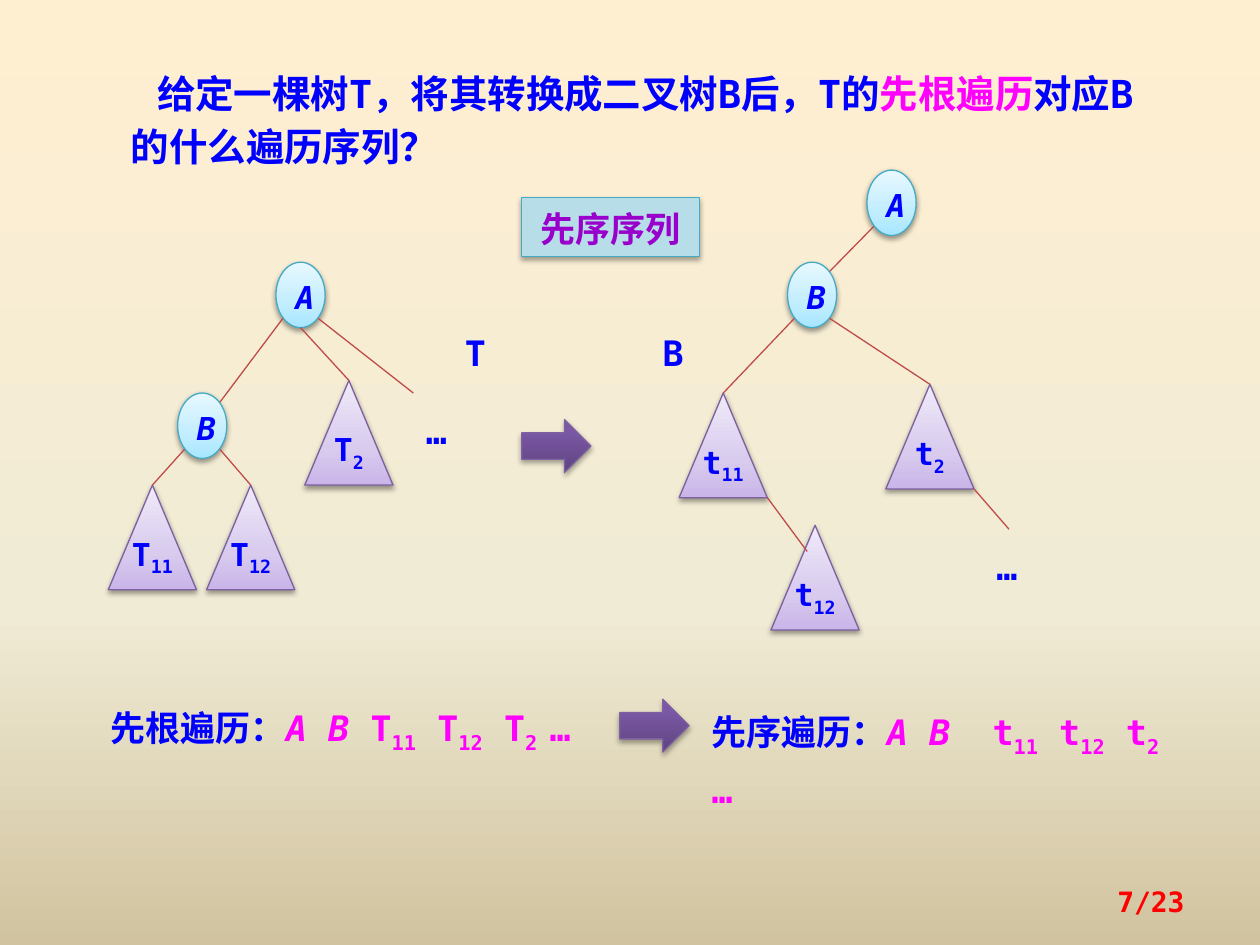
"""Build the slide on preorder traversal of a tree and of its binary tree."""
from dataclasses import dataclass

from lxml.etree import SubElement
from pptx import Presentation
from pptx.dml.color import RGBColor
from pptx.enum.shapes import MSO_CONNECTOR, MSO_SHAPE
from pptx.enum.text import MSO_ANCHOR, MSO_AUTO_SIZE, PP_ALIGN
from pptx.oxml import parse_xml
from pptx.oxml.ns import nsdecls, qn
from pptx.util import Pt

BLUE = RGBColor(0x00, 0x00, 0xFF)
MAGENTA = RGBColor(0xFF, 0x00, 0xFF)
PURPLE = RGBColor(0x99, 0x00, 0xCC)
RED = RGBColor(0xFF, 0x00, 0x00)
TEAL = RGBColor(0x46, 0xAA, 0xC5)
PALE_TEAL = RGBColor(0xB7, 0xDE, 0xE8)
VIOLET = RGBColor(0x7D, 0x60, 0xA0)
BRICK = RGBColor(0xBF, 0x4C, 0x48)

SAND_STOPS = ((0, RGBColor(0xFF, 0xEF, 0xD1)), (65, RGBColor(0xF0, 0xEB, 0xD5)), (100, RGBColor(0xD1, 0xC3, 0x9F)))
SKY_STOPS = ((0, RGBColor(0xA7, 0xE6, 0xFF)), (35, RGBColor(0xC1, 0xED, 0xFF)), (100, RGBColor(0xE7, 0xF8, 0xFF)))
LILAC_STOPS = ((0, RGBColor(0xC9, 0xB5, 0xE8)), (35, RGBColor(0xD8, 0xCB, 0xEE)), (100, RGBColor(0xF0, 0xEA, 0xF9)))
GRAPE_STOPS = ((0, RGBColor(0x5F, 0x44, 0x80)), (80, RGBColor(0x7B, 0x58, 0xA6)), (100, RGBColor(0x7C, 0x57, 0xA8)))

FONT = "DejaVu Sans Mono"
TOP, LOW, LOW_LEFT, LOW_RIGHT = (0.5, 0), (0.5, 1), (0.14, 0.86), (0.86, 0.86)
HIGH_RIGHT, CORNER, BASE_RIGHT = (0.86, 0.14), (0, 0), (1, 1)


@dataclass(frozen=True)
class Span:
    text: str
    color: RGBColor = BLUE
    size: float = 20
    italic: bool = False
    lowered: bool = False
    tracking: int = 0


@dataclass(frozen=True)
class Look:
    preset: MSO_SHAPE
    width: float
    height: float
    stops: tuple
    outline: RGBColor
    spacing: object = None
    inset: float | None = None
    opacity: int = 38


@dataclass(frozen=True)
class Node:
    left: float
    top: float
    look: Look
    spans: tuple = ()

    def port(self, across: float, down: float) -> tuple:
        return Pt(self.left + across * self.look.width), Pt(self.top + down * self.look.height)


@dataclass(frozen=True)
class Words:
    left: float
    top: float
    width: float
    height: float
    spans: tuple
    indent: float = 0


ROOT = Look(MSO_SHAPE.OVAL, 28.1, 37.4, SKY_STOPS, TEAL, 1.1)
SUBTREE = Look(MSO_SHAPE.ISOSCELES_TRIANGLE, 50.4, 59.8, LILAC_STOPS, VIOLET, Pt(16), 0)
ARROW = Look(MSO_SHAPE.RIGHT_ARROW, 39.6, 30.2, GRAPE_STOPS, VIOLET, opacity=35)
MORE = Look(MSO_SHAPE.RECTANGLE, 39.6, 37.4, (), BLUE)


def root(name: str, left: float, top: float) -> Node:
    return Node(left, top, ROOT, (Span(name, size=18, italic=True),))


def subtree(name: str, index: str, left: float, top: float) -> Node:
    return Node(left, top, SUBTREE, (Span(name, size=18), Span(index, size=18, lowered=True)))


def sequence(title: str, letter: str, tracking: int) -> tuple:
    spans = [Span(title), Span("A B", MAGENTA, italic=True), Span(" ", MAGENTA, tracking=tracking)]
    for order, index in enumerate(("11", "12", "2 ")):
        spans += [Span(f" {letter}" if order else letter, MAGENTA), Span(index, MAGENTA, lowered=True)]
    return (*spans, Span("…", MAGENTA))


def paint_gradient(properties, stops: tuple, angle: int) -> None:
    marks = "".join(f'<a:gs pos="{at * 1000}"><a:srgbClr val="{color}"/></a:gs>' for at, color in stops)
    gradient = parse_xml(f'<a:gradFill {nsdecls("a")} rotWithShape="1"><a:gsLst>{marks}</a:gsLst>'
                         f'<a:lin ang="{angle * 60000}" scaled="0"/></a:gradFill>')
    properties.replace(properties.find(qn("a:solidFill")), gradient)


def cast_shadow(shape, opacity: int) -> None:
    shape.shadow.inherit = False
    effects = shape.element.spPr.find(qn("a:effectLst"))
    effects.append(parse_xml(
        f'<a:outerShdw {nsdecls("a")} blurRad="{Pt(3.1)}" dist="{Pt(1.7)}" dir="5400000" rotWithShape="0">'
        f'<a:srgbClr val="000000"><a:alpha val="{opacity * 1000}"/></a:srgbClr></a:outerShdw>'))


def apply(target, values: dict) -> None:
    for name, value in values.items():
        setattr(target, name, value)


def write(frame, spans: tuple, paragraph_format: dict, frame_format: dict) -> None:
    apply(frame, {"word_wrap": True, **frame_format})
    paragraph = frame.paragraphs[0]
    apply(paragraph, paragraph_format)
    for span in spans:
        run = paragraph.add_run()
        run.text = span.text
        apply(run.font, {"name": FONT, "size": Pt(span.size), "bold": True, "italic": span.italic})
        run.font.color.rgb = span.color
        if span.lowered:
            run.font._element.set("baseline", "-25000")
        if span.tracking:
            run.font._element.set("spc", str(span.tracking * 100))


def add_outlined(slide, preset, left: float, top: float, width: float, height: float,
                 fill: RGBColor, outline: RGBColor, opacity: int):
    shape = slide.shapes.add_shape(preset, Pt(left), Pt(top), Pt(width), Pt(height))
    shape.fill.solid()
    shape.fill.fore_color.rgb = fill
    shape.line.color.rgb = outline
    shape.line.width = Pt(0.75)
    cast_shadow(shape, opacity)
    return shape


def add_node(slide, node: Node) -> None:
    look = node.look
    shape = add_outlined(slide, look.preset, node.left, node.top, look.width, look.height,
                         look.stops[0][1], look.outline, look.opacity)
    paint_gradient(shape.element.spPr, look.stops, 270)
    if node.spans:
        margins = {} if look.inset is None else {
            f"margin_{side}": Pt(look.inset) for side in ("left", "top", "right", "bottom")}
        write(shape.text_frame, node.spans, {"alignment": PP_ALIGN.CENTER, "line_spacing": look.spacing},
              {"vertical_anchor": MSO_ANCHOR.MIDDLE, **margins})


def add_edge(slide, start: tuple, end: tuple) -> None:
    edge = slide.shapes.add_connector(MSO_CONNECTOR.STRAIGHT, *start, *end)
    edge.line.color.rgb = BRICK
    edge.line.width = Pt(0.75)
    SubElement(edge.element.spPr, qn("a:effectLst"))


def add_words(slide, words: Words) -> None:
    box = slide.shapes.add_textbox(Pt(words.left), Pt(words.top), Pt(words.width), Pt(words.height))
    write(box.text_frame, words.spans, {"line_spacing": Pt(30)}, {"auto_size": MSO_AUTO_SIZE.SHAPE_TO_FIT_TEXT})
    if words.indent:
        box.text_frame.paragraphs[0]._p.get_or_add_pPr().set("indent", str(Pt(words.indent)))


presentation = Presentation()
presentation.slide_width, presentation.slide_height = Pt(720), Pt(540)
slide = presentation.slides.add_slide(presentation.slide_layouts[6])
slide.background.fill.solid()
paint_gradient(slide.element.find(".//" + qn("p:bgPr")), SAND_STOPS, 90)

tree_a, tree_b = root("A", 157.7, 149.8), root("B", 101.5, 224.6)
tree_11, tree_12 = (subtree("T", index, left, 277.2) for index, left in (("11", 61.9), ("12", 118.1)))
tree_2 = subtree("T", "2", 174.2, 217.4)
binary_a, binary_b = root("A", 495.4, 97.2), root("B", 450, 149.8)
binary_11, binary_12 = subtree("t", "11", 388.1, 224.6), subtree("t", "12", 440.6, 300.2)
binary_2 = subtree("t", "2", 506.2, 219.6)
tree_more, binary_more = Node(236.2, 224.6, MORE), Node(562.3, 302.4, MORE)
arrows = Node(298.1, 239.8, ARROW), Node(354.2, 399.6, ARROW)

for node in (tree_a, tree_b, tree_11, tree_12, tree_2,
             binary_a, binary_b, binary_11, binary_12, binary_2, *arrows):
    add_node(slide, node)

for parent, leaving, child, entering in (
        (tree_a, LOW_LEFT, tree_b, HIGH_RIGHT), (tree_a, LOW, tree_2, TOP), (tree_a, LOW_RIGHT, tree_more, CORNER),
        (tree_b, LOW_LEFT, tree_11, TOP), (tree_b, LOW_RIGHT, tree_12, TOP),
        (binary_a, LOW_LEFT, binary_b, HIGH_RIGHT), (binary_b, LOW_LEFT, binary_11, TOP),
        (binary_b, LOW_RIGHT, binary_2, TOP), (binary_11, BASE_RIGHT, binary_12, (0.41, 0.25)),
        (binary_2, BASE_RIGHT, binary_more, (0.36, 0))):
    add_edge(slide, parent.port(*leaving), child.port(*entering))

question = (Span("给定一棵树T，将其转换成二叉树B后，T的", size=22), Span("先根遍历", MAGENTA, 22),
            Span("对应B的什么遍历序列？", size=22))
labels = ((tree_more.left, tree_more.top, "…"), (binary_more.left, binary_more.top, "…"),
          (258.5, 180, "T"), (371.5, 180, "B"))
for words in (Words(67.7, 33.1, 607.7, 67.7, question, 15),
              Words(56.2, 397.4, 286.6, 37.4, sequence("先根遍历：", "T", 0)),
              Words(399.6, 399.6, 286.6, 37.4, sequence("先序遍历：", "t", 12)),
              *(Words(left, top, MORE.width, MORE.height, (Span(text),)) for left, top, text in labels)):
    add_words(slide, words)

answer = add_outlined(slide, MSO_SHAPE.RECTANGLE, 298.1, 113, 101.5, 33.8, PALE_TEAL, TEAL, 35)
write(answer.text_frame, (Span("先序序列", PURPLE),), {"alignment": PP_ALIGN.CENTER, "line_spacing": Pt(26)},
      {"auto_size": MSO_AUTO_SIZE.SHAPE_TO_FIT_TEXT, "vertical_anchor": MSO_ANCHOR.TOP})
page = slide.shapes.add_textbox(Pt(516.2), Pt(500.4), Pt(167.8), Pt(28.8))
write(page.text_frame, (Span("7/23", RED, 16),), {"alignment": PP_ALIGN.RIGHT},
      {"vertical_anchor": MSO_ANCHOR.MIDDLE})

presentation.save("out.pptx")
